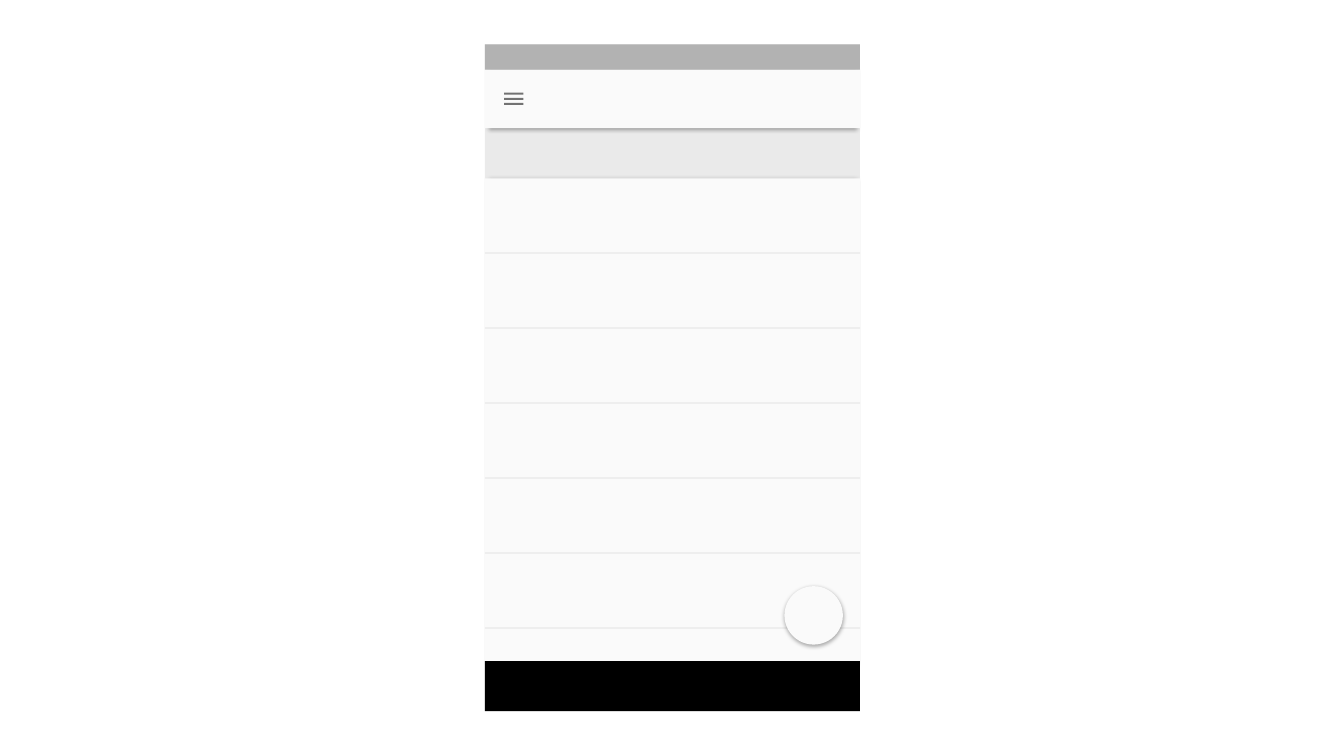
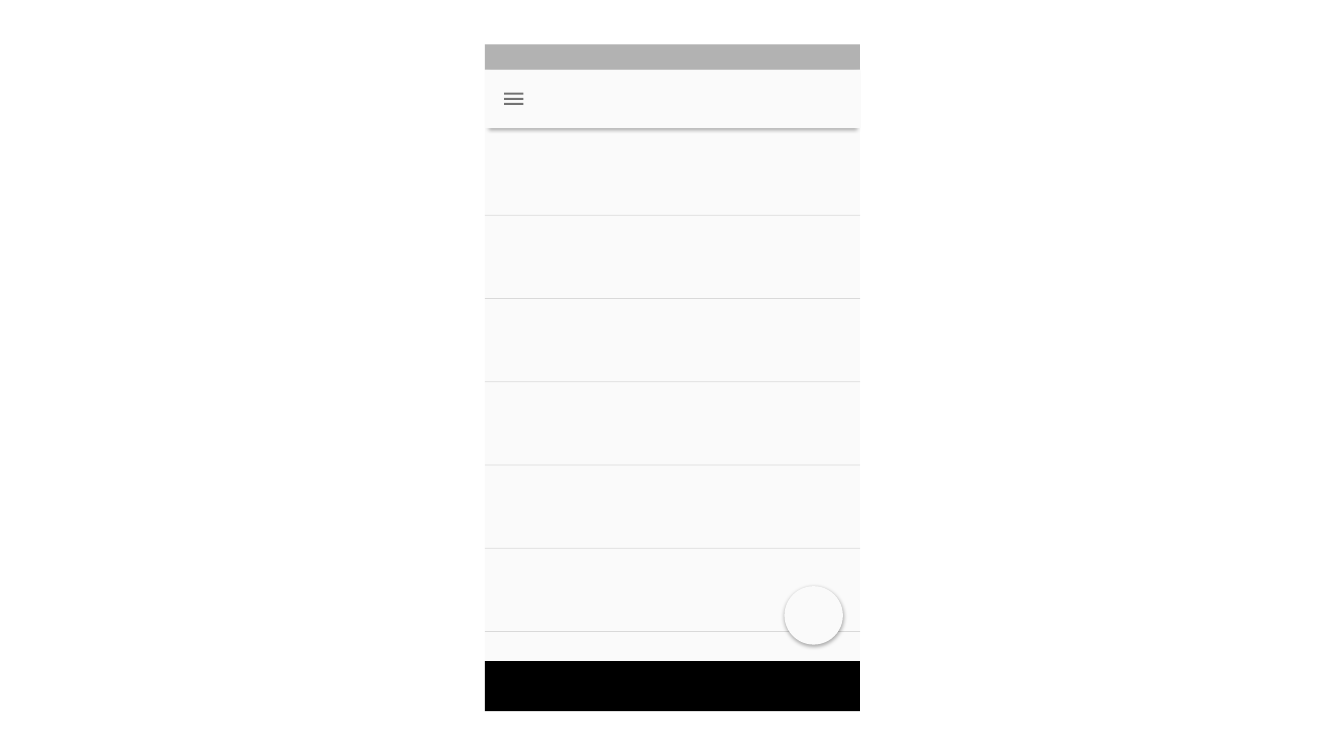
import pptx
import pptx.util
import pptx.dml.color
import pptx.enum.shapes
import pptx.oxml.ns
import lxml.etree
from dataclasses import dataclass

Inches = pptx.util.Inches
Pt = pptx.util.Pt
KIND = pptx.enum.shapes.MSO_SHAPE
LINK = pptx.enum.shapes.MSO_CONNECTOR
qn = pptx.oxml.ns.qn


# Content: one entry per phone screen, lengths in inches
SCREENS = [
    dict(back="EAEAEA", sheet=1.77, first=2.51, step=0.744),
    dict(back="FAFAFA", sheet=None, first=2.135, step=0.826),
]
ROWS = 6


# Theme and shared layout
@dataclass(frozen=True)
class Theme:
    paper: str = "FAFAFA"
    black: str = "000000"
    status: str = "B2B2B2"
    rule_alpha: int = 12
    icon_alpha: int = 54
    rule_width: float = 0.5
    shade_alpha: int = 33
    shade_blur: float = 3
    shade_drop: float = 1


THEME = Theme()
WIDE, HIGH = 13.33, 7.5
LEFT, TOP, WIDTH, HEIGHT = 4.81, 0.44, 3.72, 6.615
RIGHT, END = LEFT + WIDTH, TOP + HEIGHT
STATUS, BAR, NAV = 0.25, 0.58, 0.495
BAR_BOX = (LEFT, TOP + STATUS, WIDTH, BAR)
BUTTON_BOX = (7.78, 5.815, BAR, BAR)
ICON_LEFT, ICON_TOP, ICON_WIDTH = 5, 0.92, 0.19
STROKE, PITCH = 0.02, 0.05


# Drawing helpers
def rgb(code):
    return pptx.dml.color.RGBColor.from_string(code)


def fade(color, percent):
    lxml.etree.SubElement(color, qn("a:alpha"), val=str(percent * 1000))


def paint(shape, code):
    shape.fill.solid()
    shape.fill.fore_color.rgb = rgb(code)
    shape.line.fill.background()
    shape.shadow.inherit = False


def block(slide, box, code, kind=KIND.RECTANGLE):
    shape = slide.shapes.add_shape(kind, *[Inches(n) for n in box])
    paint(shape, code)
    return shape


def card(slide, box, kind=KIND.RECTANGLE, spread=100):
    """A raised sheet; spread is the shadow's width in percent."""
    shape = block(slide, box, THEME.paper, kind)
    effects = shape._element.spPr.find(qn("a:effectLst"))
    shadow = lxml.etree.SubElement(
        effects, qn("a:outerShdw"), blurRad=str(Pt(THEME.shade_blur)),
        dist=str(Pt(THEME.shade_drop)), dir="5400000",
        sx=str(spread * 1000), algn="ctr", rotWithShape="0")
    color = lxml.etree.SubElement(shadow, qn("a:srgbClr"), val=THEME.black)
    fade(color, THEME.shade_alpha)
    return shape


def rule(slide, y):
    line = slide.shapes.add_connector(
        LINK.STRAIGHT, Inches(LEFT), Inches(y), Inches(RIGHT), Inches(y))
    line.line.width = Pt(THEME.rule_width)
    line.line.color.rgb = rgb(THEME.black)
    props = line._element.spPr
    fade(next(props.iter(qn("a:srgbClr"))), THEME.rule_alpha)
    lxml.etree.SubElement(props, qn("a:effectLst"))


def menu(slide):
    """The three bars of the menu icon, as one outline."""
    x1, x2 = Inches(ICON_LEFT), Inches(ICON_LEFT + ICON_WIDTH)
    tops = [Inches(ICON_TOP + i * PITCH) for i in range(3)]
    pen = slide.shapes.build_freeform(x1, tops[0])
    for y in tops:
        low = y + Inches(STROKE)
        if y != tops[0]:
            pen.move_to(x1, y)
        pen.add_line_segments([(x2, y), (x2, low), (x1, low)], close=True)
    icon = pen.convert_to_shape()
    paint(icon, THEME.black)
    fade(next(icon._element.spPr.iter(qn("a:srgbClr"))), THEME.icon_alpha)


# Parts that every screen shares
def chrome(slide):
    bar = card(slide, BAR_BOX, KIND.ROUNDED_RECTANGLE, spread=98)
    bar.adjustments[0] = 0.006
    menu(slide)
    block(slide, (LEFT, END - NAV, WIDTH, NAV), THEME.black)
    block(slide, (LEFT, TOP, WIDTH, STATUS), THEME.status)
    card(slide, BUTTON_BOX, KIND.OVAL)


# Build the slides
deck = pptx.Presentation()
deck.slide_width, deck.slide_height = Inches(WIDE), Inches(HIGH)
blank = deck.slide_layouts[6]
for screen in SCREENS:
    slide = deck.slides.add_slide(blank)
    block(slide, (LEFT, TOP, WIDTH, HEIGHT), screen["back"])
    top = screen["sheet"]
    if top:
        card(slide, (LEFT, top, WIDTH, END - NAV - top), spread=98)
    for row in range(ROWS):
        rule(slide, screen["first"] + row * screen["step"])
    chrome(slide)

deck.save("out.pptx")
